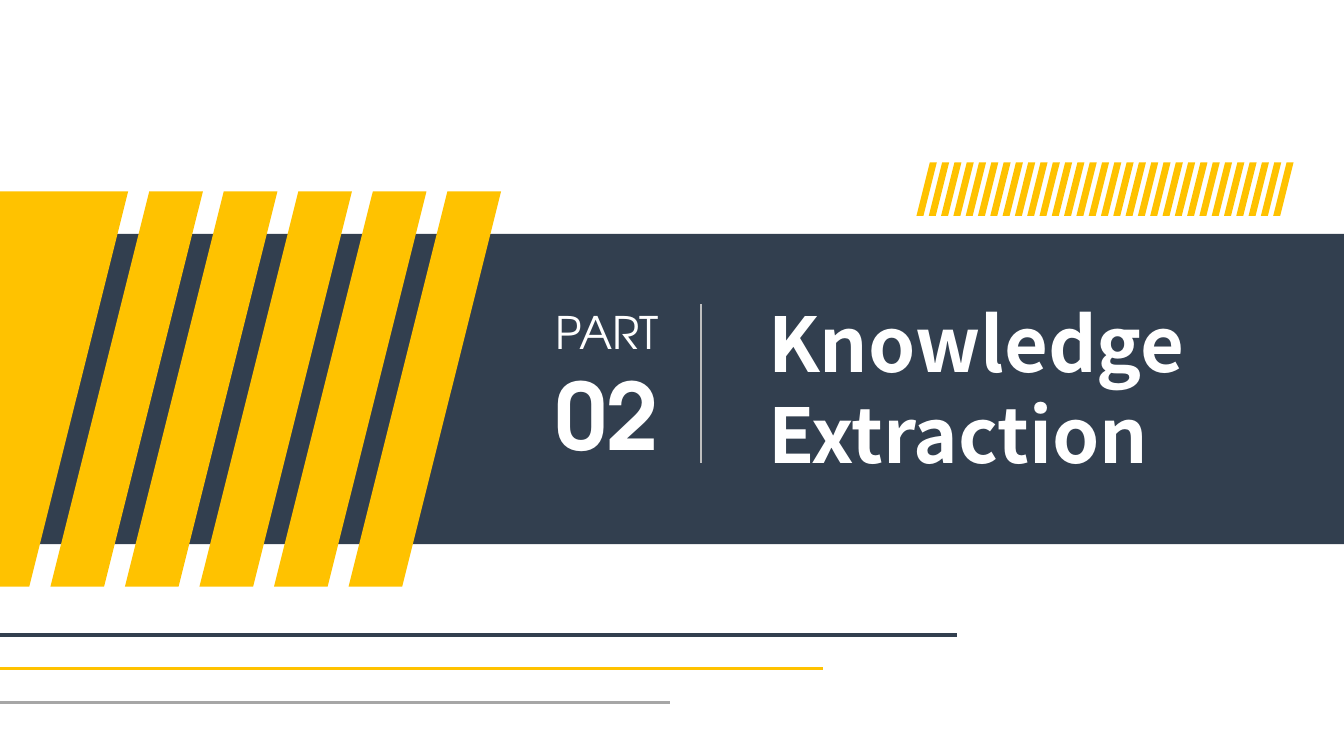
from dataclasses import dataclass

from lxml import etree
from pptx import Presentation
from pptx import util as u
from pptx.dml.color import RGBColor
from pptx.enum import shapes, text
from pptx.oxml.ns import qn


@dataclass(frozen=True)
class Theme:
    navy: str = "323F4F"
    gold: str = "FFC200"
    gray: str = "A6A6A6"
    pale: str = "BFBFBF"
    white: str = "FFFFFF"
    plain: str = "TeX Gyre Adventor"
    heavy: str = "Noto Sans CJK SC"
    small: int = 32
    large: int = 66
    title: int = 54
    rule: float = 2.25
    thin: float = 1.5


THEME = Theme()
WIDTH, HEIGHT = u.Inches(13.33), u.Inches(7.5)
SLOPE = 0.25  # sideways lean of every stripe per unit of height


def area(x, y, w, h):
    """Turn percentages of the slide's size into a box."""
    return (int(WIDTH * x / 100), int(HEIGHT * y / 100),
            int(WIDTH * w / 100), int(HEIGHT * h / 100))


def paint(shape, color):
    shape.shadow.inherit = False
    shape.fill.solid()
    shape.fill.fore_color.rgb = RGBColor.from_string(color)
    shape.line.fill.background()


def outline(slide, points, color):
    form = slide.shapes.build_freeform(*points[0])
    form.add_line_segments(points[1:], close=True)
    paint(form.convert_to_shape(), color)


def stroke(slide, start, end, color, size):
    line = slide.shapes.add_connector(
        shapes.MSO_CONNECTOR.STRAIGHT, *start, *end)
    line.line.color.rgb = RGBColor.from_string(color)
    line.line.width = u.Pt(size)
    etree.SubElement(line._element.spPr, qn("a:effectLst"))


def band(slide, box):
    paint(slide.shapes.add_shape(shapes.MSO_SHAPE.RECTANGLE, *box), THEME.navy)


def stripes(slide, box, count, share):
    """Fill the box with slanted bars; share is bar width over pitch."""
    x, y, w, h = box
    lean = h * SLOPE
    pitch = (w - lean) / (count - 1 + share)
    bar = pitch * share
    for i in range(count):
        left = x + i * pitch
        outline(slide, [(left + lean, y), (left + lean + bar, y),
                        (left + bar, y + h), (left, y + h)], THEME.gold)


def wedge(slide, box):
    x, y, w, h = box
    outline(slide, [(x, y), (x + w, y), (x + w - h * SLOPE, y + h),
                    (x, y + h)], THEME.gold)


def rules(slide, box):
    x, y, w, h = box
    kinds = [(1, THEME.navy), (0.86, THEME.gold), (0.7, THEME.gray)]
    for i, (share, color) in enumerate(kinds):
        top = int(y + h * i / (len(kinds) - 1))
        stroke(slide, (x, top), (int(x + w * share), top), color, THEME.rule)


def divider(slide, box):
    x, y, w, h = box
    stroke(slide, (x, y), (x + w, y + h), THEME.pale, THEME.thin)


def words(slide, box, lines, face, align):
    """Write one paragraph for each (wording, size, bold) line."""
    frame = slide.shapes.add_textbox(*box).text_frame
    frame.word_wrap = False
    frame.auto_size = text.MSO_AUTO_SIZE.SHAPE_TO_FIT_TEXT
    for i, (wording, size, bold) in enumerate(lines):
        para = frame.add_paragraph() if i else frame.paragraphs[0]
        para.alignment = align
        run = para.add_run()
        run.text = wording
        run.font.name = face
        run.font.size = u.Pt(size)
        run.font.bold = bold
        run.font.color.rgb = RGBColor.from_string(THEME.white)


def section(slide):
    # Band and slanted bars
    band(slide, area(0, 30.93, 100, 41.07))
    stripes(slide, area(3.75, 25.33, 33.53, 52.27), 5, 0.72)
    wedge(slide, area(0, 25.33, 9.53, 52.27))

    # Lines at the foot and small bars at the top right
    rules(slide, area(0, 84, 71.19, 8.93))
    stripes(slide, area(68.19, 21.47, 28.06, 7.07), 30, 0.57)

    # Section number, divider and title
    divider(slide, area(52.14, 40.27, 0, 20.93))
    words(slide, area(40.44, 39.6, 9.45, 23.33),
          [("PART", THEME.small, False), ("02", THEME.large, True)],
          THEME.plain, text.PP_ALIGN.CENTER)
    words(slide, area(56.41, 38.67, 39.38, 25.6),
          [("Knowledge", THEME.title, True),
           ("Extraction", THEME.title, True)],
          THEME.heavy, text.PP_ALIGN.LEFT)


def main():
    deck = Presentation()
    deck.slide_width, deck.slide_height = WIDTH, HEIGHT
    section(deck.slides.add_slide(deck.slide_layouts[6]))
    deck.save("out.pptx")


if __name__ == "__main__":
    main()
